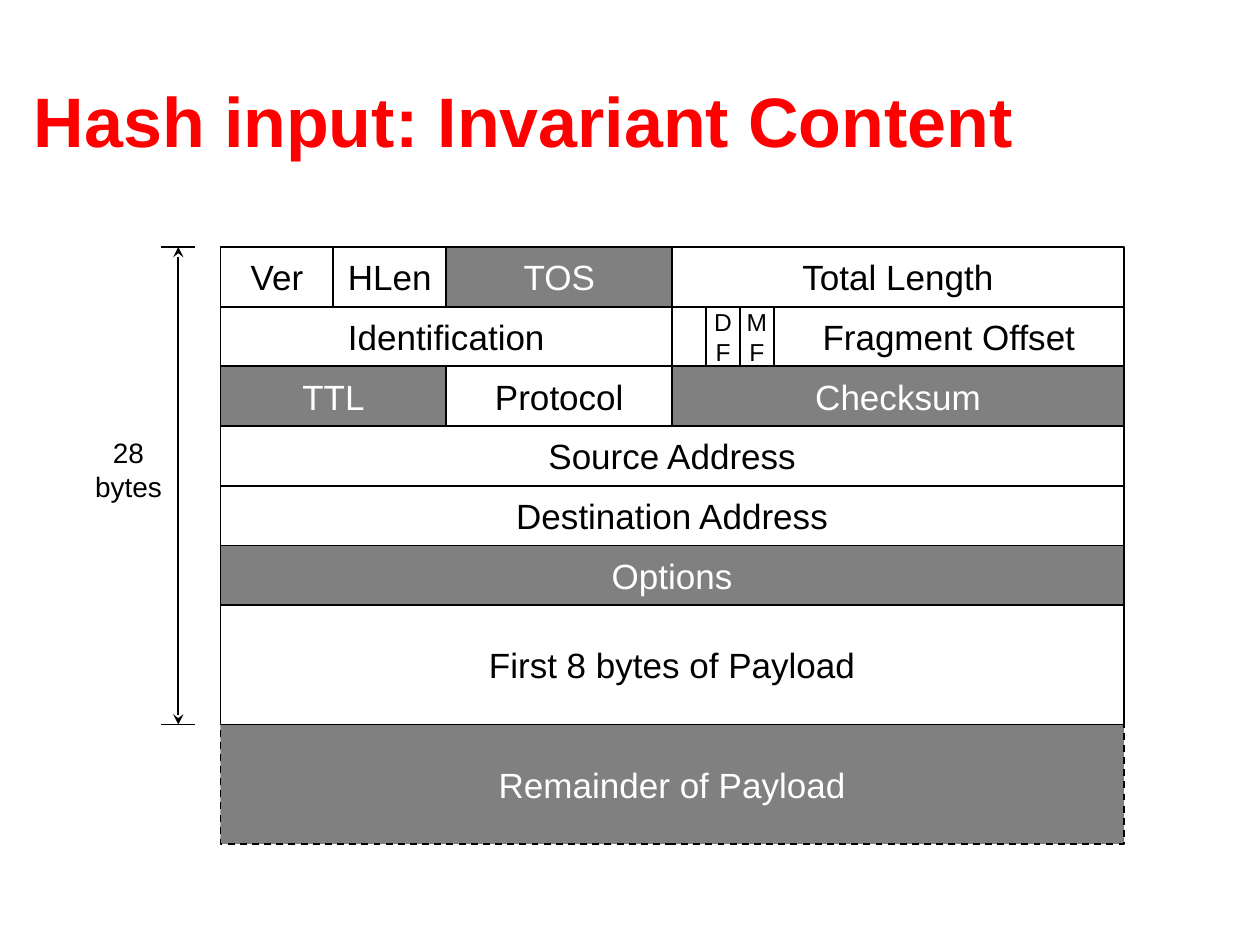
from lxml import etree
from pptx import Presentation
from pptx.dml.color import RGBColor
from pptx.enum.dml import MSO_LINE
from pptx.enum.shapes import MSO_CONNECTOR, MSO_SHAPE
from pptx.enum.text import MSO_ANCHOR, PP_ALIGN
from pptx.oxml.ns import qn
from pptx.util import Inches, Pt

BLACK = RGBColor(0x00, 0x00, 0x00)
WHITE = RGBColor(0xFF, 0xFF, 0xFF)
GRAY = RGBColor(0x80, 0x80, 0x80)
RED = RGBColor(0xFF, 0x00, 0x00)
LEFT, CENTER = PP_ALIGN.LEFT, PP_ALIGN.CENTER
MIDDLE = MSO_ANCHOR.MIDDLE
RECTANGLE, STRAIGHT = MSO_SHAPE.RECTANGLE, MSO_CONNECTOR.STRAIGHT
DASH = MSO_LINE.DASH

BITS_PER_ROW = 32
FLAG_BITS = 1.2  # drawn wider than one bit so the letters fit
OFFSET_BITS = 16 - 3 * FLAG_BITS
HEADER_ROWS = 8  # rows of four bytes covered by the hash

# (first row, rows high, [(label, bits, masked out of the hash)])
PACKET_ROWS = [
    (0, 1, [("Ver", 4, False), ("HLen", 4, False), ("TOS", 8, True),
            ("Total Length", 16, False)]),
    (1, 1, [("Identification", 16, False), ("", FLAG_BITS, False),
            ("D\nF", FLAG_BITS, False), ("M\nF", FLAG_BITS, False),
            ("Fragment Offset", OFFSET_BITS, False)]),
    (2, 1, [("TTL", 8, True), ("Protocol", 8, False), ("Checksum", 16, True)]),
    (3, 1, [("Source Address", 32, False)]),
    (4, 1, [("Destination Address", 32, False)]),
    (5, 1, [("Options", 32, True)]),
    (8, 2, [("Remainder of Payload", 32, True)]),
    (6, 2, [("First 8 bytes of Payload", 32, False)]),
]


def write_text(shape, text, size=20, color=BLACK, bold=False, align=CENTER,
               wrap=False, side_margin=0.1):
    """Fill a shape with one paragraph for each line of text."""
    frame = shape.text_frame
    frame.word_wrap = wrap
    frame.vertical_anchor = MIDDLE
    frame.margin_left = frame.margin_right = Inches(side_margin)
    frame.text = text
    for paragraph in frame.paragraphs:
        paragraph.alignment = align
        font = paragraph.font
        font.name, font.size, font.bold = "Arial", Pt(size), bold
        font.color.rgb = color


def add_line(slide, x1, y1, x2, y2, arrows=False):
    connector = slide.shapes.add_connector(
        STRAIGHT, Inches(x1), Inches(y1), Inches(x2), Inches(y2))
    connector.line.color.rgb = BLACK
    connector.line.width = Pt(1)
    properties = connector._element.spPr
    if arrows:
        outline = properties.find(qn("a:ln"))
        for end in ("a:headEnd", "a:tailEnd"):
            etree.SubElement(outline, qn(end), type="stealth")
    etree.SubElement(properties, qn("a:effectLst"))


def add_field(slide, left, top, width, height, label, masked, dashed):
    shape = slide.shapes.add_shape(
        RECTANGLE, Inches(left), Inches(top), Inches(width), Inches(height))
    shape.shadow.inherit = False
    if masked:
        shape.fill.solid()
        shape.fill.fore_color.rgb = GRAY
    else:
        shape.fill.background()
    shape.line.color.rgb = BLACK
    shape.line.width = Pt(1)
    if dashed:
        shape.line.dash_style = DASH
    if label:
        write_text(shape, label, size=14 if "\n" in label else 20,
                   color=WHITE if masked else BLACK)


def add_title(slide, left, top, width, height):
    box = slide.shapes.add_textbox(
        Inches(left), Inches(top), Inches(width), Inches(height))
    write_text(box, "Hash input: Invariant Content", size=40, color=RED,
               bold=True, align=LEFT, wrap=True)


def add_packet(slide, left, top, width, row_height):
    bit_width = width / BITS_PER_ROW
    for first_row, rows, fields in PACKET_ROWS:
        field_left = left
        for label, bits, masked in fields:
            add_field(slide, field_left, top + first_row * row_height,
                      bits * bit_width, rows * row_height,
                      label, masked, dashed=first_row >= HEADER_ROWS)
            field_left += bits * bit_width


def add_size_bracket(slide, left, top, width, height):
    """Dimension arrow between two end bars."""
    center = left + width / 2
    add_line(slide, center, top, center, top + height, arrows=True)
    for y in (top, top + height):
        add_line(slide, left, y, left + width, y)


def add_size_label(slide, left, top, width, height):
    box = slide.shapes.add_textbox(
        Inches(left), Inches(top), Inches(width), Inches(height))
    write_text(box, "28\nbytes", size=16, side_margin=0)


def main():
    presentation = Presentation()
    presentation.slide_width, presentation.slide_height = Inches(10), Inches(7.5)
    slide = presentation.slides.add_slide(presentation.slide_layouts[6])
    packet_top, packet_height = 1.96, 3.79

    add_title(slide, 0.17, 0.32, 9.58, 1.25)
    add_packet(slide, 1.75, packet_top, 7.17, packet_height / HEADER_ROWS)
    add_size_bracket(slide, 1.28, packet_top, 0.27, packet_height)
    add_size_label(slide, 0.7, 3.36, 0.64, 0.73)
    presentation.save("out.pptx")


if __name__ == "__main__":
    main()
